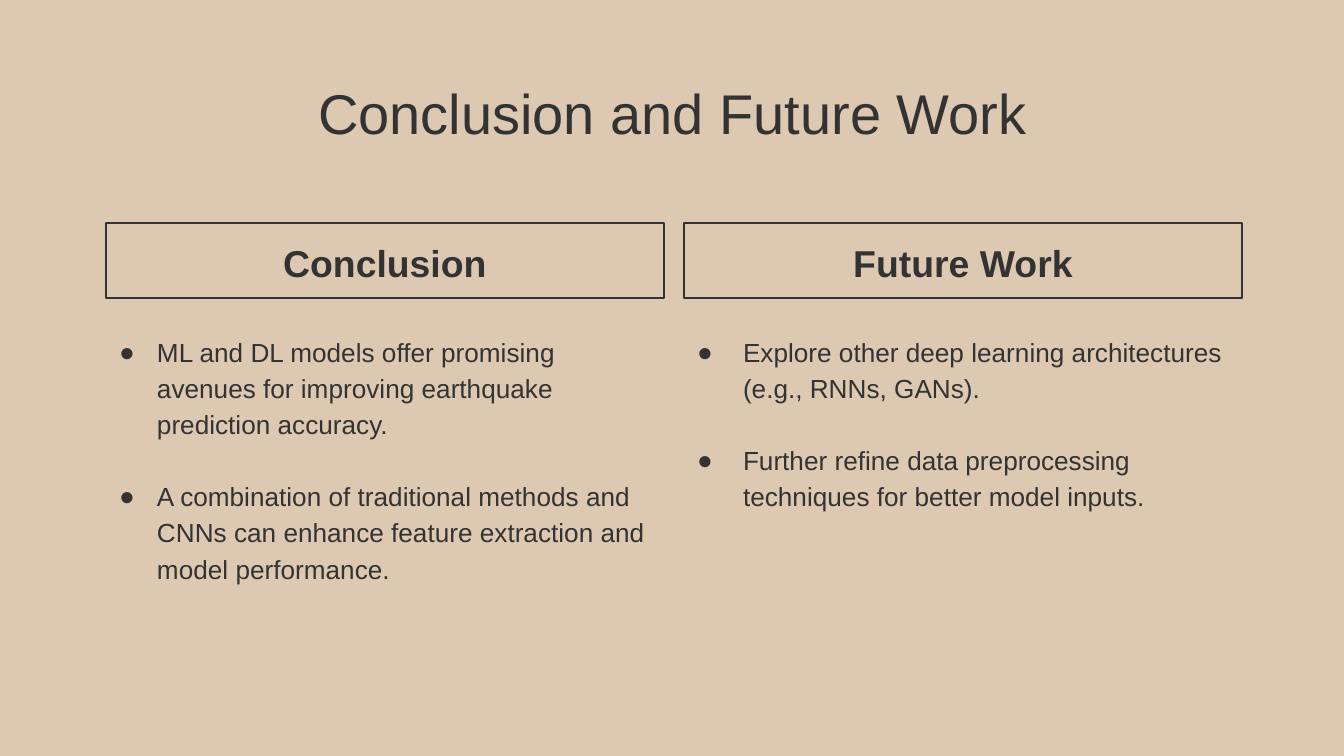
from dataclasses import dataclass

from lxml import etree
from pptx import Presentation, util as u
from pptx.dml.color import RGBColor
from pptx.enum import text
from pptx.oxml import ns


@dataclass(frozen=True)
class Theme:
    ground: str = "DDC8B1"
    ink: str = "333333"
    font: str = "Arial"
    title: int = 30
    head: int = 20
    body: int = 14
    rule: float = 0.75
    lead: float = 1.15
    gap: float = 19.3


LOOK = Theme()
WIDE, HIGH = 1344, 756
LEFT, STEP, SPAN, PAD = 106, 578, 558, 13
COLUMNS = [
    ("Conclusion", 38, [
        "ML and DL models offer promising avenues for improving earthquake prediction accuracy.",
        "A combination of traditional methods and CNNs can enhance feature extraction and model performance.",
    ]),
    ("Future Work", 46, [
        "Explore other deep learning architectures (e.g., RNNs, GANs).",
        "Further refine data preprocessing techniques for better model inputs.",
    ]),
]


def px(num):
    return u.Emu(round(num * 914400 / 134.4))


def tint(code):
    return RGBColor.from_string(code)


def place(shape, left, top, width, height, anchor):
    shape.left, shape.top = px(left), px(top)
    shape.width, shape.height = px(width), px(height)
    frame = shape.text_frame
    frame.word_wrap = True
    frame.auto_size = text.MSO_AUTO_SIZE.NONE
    frame.vertical_anchor = anchor
    frame.margin_left = frame.margin_right = px(PAD)
    frame.margin_top = frame.margin_bottom = px(PAD)
    return frame


def write(para, words, size, align, bold=False):
    para.alignment = align
    para.space_before = u.Pt(0)
    run = para.add_run()
    run.text = words
    font = run.font
    font.name, font.size, font.bold = LOOK.font, u.Pt(size), bold
    font.color.rgb = tint(LOOK.ink)


def bullet(para, inset):
    props = para._p.get_or_add_pPr()
    props.set("marL", str(px(inset)))
    props.set("indent", str(-px(inset)))
    color = etree.SubElement(props, ns.qn("a:buClr"))
    etree.SubElement(color, ns.qn("a:srgbClr"), val=LOOK.ink)
    etree.SubElement(props, ns.qn("a:buFont"), typeface=LOOK.font)
    etree.SubElement(props, ns.qn("a:buChar"), char="●")


def title(shape, words):
    frame = place(shape, LEFT, 66, 1133, 85, text.MSO_ANCHOR.TOP)
    write(frame.paragraphs[0], words, LOOK.title, text.PP_ALIGN.CENTER)


def header(shape, left, words):
    frame = place(shape, left, 223, SPAN, 75, text.MSO_ANCHOR.BOTTOM)
    shape.line.color.rgb = tint(LOOK.ink)
    shape.line.width = u.Pt(LOOK.rule)
    write(frame.paragraphs[0], words, LOOK.head, text.PP_ALIGN.CENTER, True)


def points(shape, left, inset, items):
    frame = place(shape, left, 319, SPAN, 289, text.MSO_ANCHOR.TOP)
    for num, words in enumerate(items):
        para = frame.add_paragraph() if num else frame.paragraphs[0]
        write(para, words, LOOK.body, text.PP_ALIGN.LEFT)
        para.line_spacing = LOOK.lead
        if num:
            para.space_before = u.Pt(LOOK.gap)
        bullet(para, inset)


def main():
    deck = Presentation()
    deck.slide_width, deck.slide_height = px(WIDE), px(HIGH)
    slide = deck.slides.add_slide(deck.slide_layouts.get_by_name("Comparison"))
    fill = slide.background.fill
    fill.solid()
    fill.fore_color.rgb = tint(LOOK.ground)

    title(slide.shapes.title, "Conclusion and Future Work")
    slots = list(slide.placeholders)[1:]
    for num, (name, inset, items) in enumerate(COLUMNS):
        left = LEFT + num * STEP
        header(slots[2 * num], left, name)
        points(slots[2 * num + 1], left, inset, items)
    deck.save("out.pptx")


if __name__ == "__main__":
    main()
